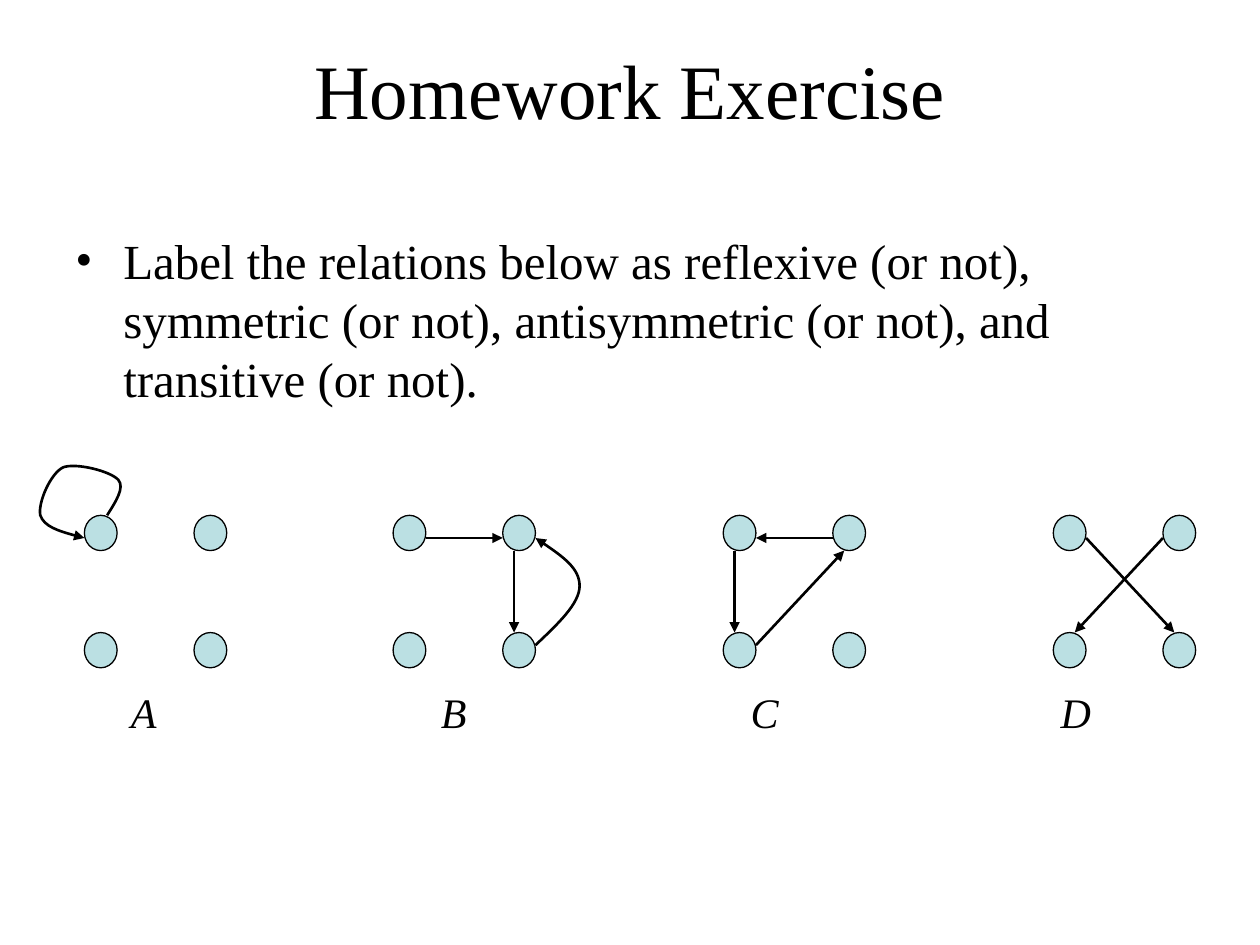
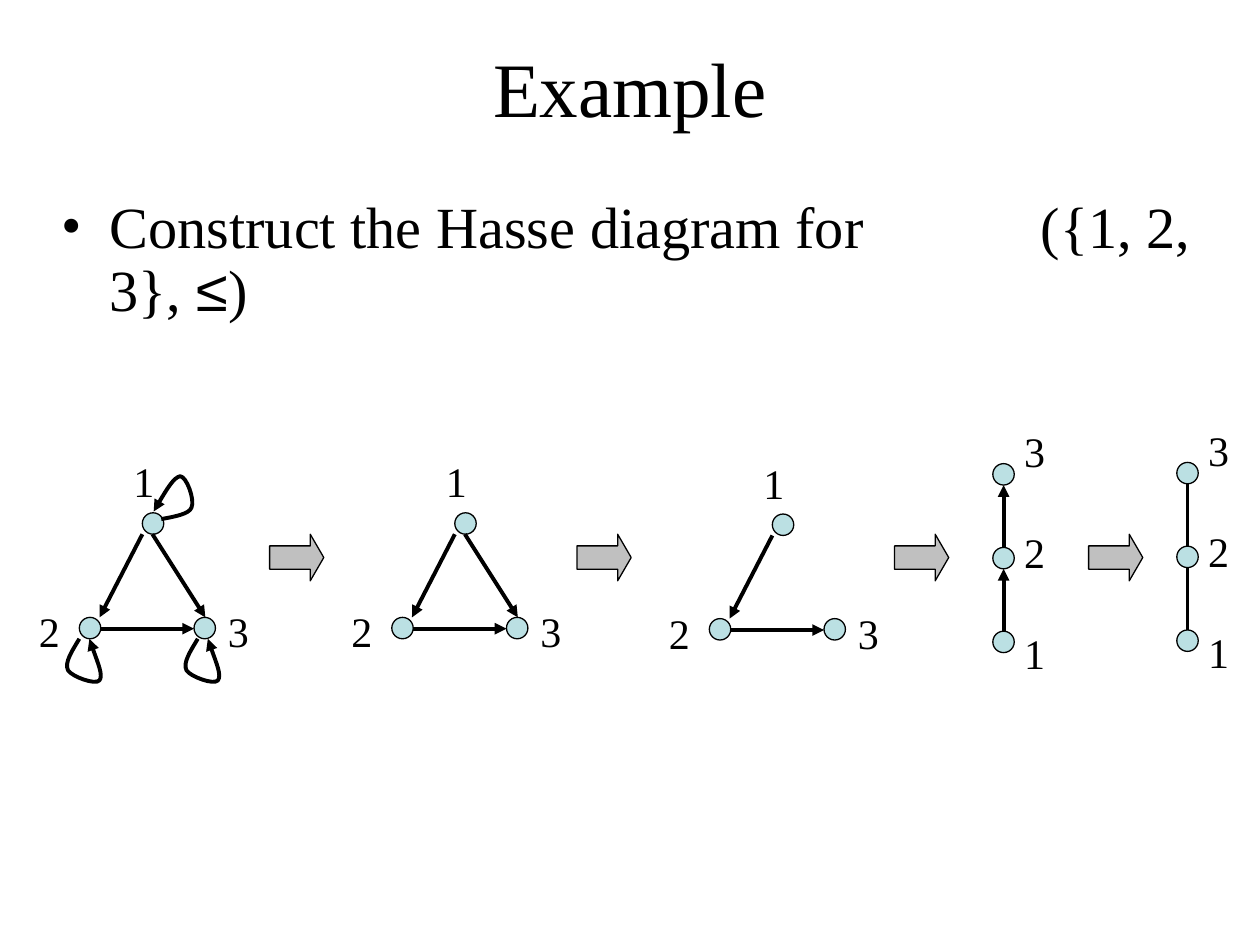
from lxml import etree
from pptx import Presentation
from pptx.dml.color import RGBColor
from pptx.enum import shapes, text
from pptx.oxml import ns
from pptx.util import Inches, Pt

BLACK = RGBColor(0, 0, 0)
NODE_BLUE = RGBColor(0xBB, 0xE0, 0xE3)
ARROW_GREY = RGBColor(0xC0, 0xC0, 0xC0)
SERIF, SANS = "Times New Roman", "Arial"

# Relations: four nodes on a grid, edges measured from the top left node.
GRID_TOP, NODE_WIDTH, NODE_HEIGHT = 4.09, 0.26, 0.28
COLUMN_GAP, ROW_GAP = 0.87, 0.93
RELATIONS = {
    "A": (0.67, []),
    "B": (3.12, [((0.26, 0.18), (0.87, 0.18)), ((0.96, 0.28), (0.96, 0.93))]),
    "C": (5.74, [((0.87, 0.18), (0.26, 0.18)), ((0.09, 0.28), (0.09, 0.93)),
                 ((0.26, 1.03), (0.96, 0.28))]),
    "D": (8.36, [((0.26, 0.18), (0.96, 0.93)), ((0.87, 0.18), (0.17, 0.93))]),
}
LABEL_LEFT, LABEL_GAP = 0.94, 2.46
LOOP_A = [(0.85, 4.09), (0.92, 3.98), (0.99, 3.87), (0.94, 3.81),
          (0.88, 3.74), (0.6, 3.67), (0.5, 3.71), (0.4, 3.76), (0.3, 3.99),
          (0.32, 4.09), (0.35, 4.18), (0.51, 4.23), (0.67, 4.27)]
RETURN_B = [(4.25, 5.12), (4.43, 4.95), (4.6, 4.79), (4.6, 4.65),
            (4.6, 4.51), (4.43, 4.39), (4.25, 4.27)]

# Hasse diagram: triangles are measured from their left and top edges.
DOT = 0.17
TRIANGLE_NODES = [(0.5, 0), (0, 0.83), (0.91, 0.83)]
TRIANGLE_LABELS = [("1", 0.33, -0.5), ("2", -0.42, 0.69), ("3", 1.08, 0.69)]
ONE_TO_TWO = ((0.5, 0.17), (0.16, 0.83))
TWO_TO_THREE = ((0.17, 0.92), (0.91, 0.92))
ONE_TO_THREE = ((0.58, 0.17), (1, 0.83))
LOOP_ONE = [(1.28, 4.12), (1.39, 4.1), (1.5, 4.08), (1.52, 4.03),
            (1.55, 3.97), (1.48, 3.78), (1.43, 3.78),
            (1.38, 3.79), (1.3, 3.92), (1.22, 4.06)]
LOOP_TWO = [(0.63, 5.07), (0.57, 5.17), (0.51, 5.26), (0.54, 5.32),
            (0.57, 5.37), (0.76, 5.44), (0.79, 5.4),
            (0.82, 5.36), (0.76, 5.22), (0.71, 5.07)]
CHAIN_GAP, CHAIN_LABEL_GAP = 0.665, 0.8


def shift(points, left, top=0):
    return [(x + left, y + top) for x, y in points]


def write(paragraph, words, size, font=SERIF, italic=False, spacing=None):
    """Add a run; spacing widens each of its characters, in points."""
    span = paragraph.add_run()
    span.text = words
    span.font.name, span.font.size = font, Pt(size)
    span.font.color.rgb, span.font.italic = BLACK, italic
    if spacing:
        span.font._element.set("spc", str(spacing * 100))
    return span


class Deck:
    def __init__(self):
        self.deck = Presentation()
        self.deck.slide_width, self.deck.slide_height = Inches(10), Inches(7.5)
        self.page = None
        self.line_width = 1.5

    def start(self, heading, title_height, line_width):
        self.page = self.deck.slides.add_slide(self.deck.slide_layouts[5])
        self.line_width = line_width
        title = self.page.shapes.title
        title.left, title.top = Inches(0.5), Inches(0.18)
        title.width, title.height = Inches(9), Inches(title_height)
        title.text_frame.vertical_anchor = text.MSO_ANCHOR.MIDDLE
        paragraph = title.text_frame.paragraphs[0]
        paragraph.alignment = text.PP_ALIGN.CENTER
        write(paragraph, heading, 44)

    def text_box(self, left, top, width, height, wrap=True):
        box = self.page.shapes.add_textbox(
            Inches(left), Inches(top), Inches(width), Inches(height))
        box.text_frame.word_wrap = wrap
        return box.text_frame

    def bullet(self, left, top, width, height, inset=0.1, spacing=1.0):
        """Return the empty bulleted paragraph of a new box."""
        frame = self.text_box(left, top, width, height)
        frame.margin_left = frame.margin_right = Inches(inset)
        paragraph = frame.paragraphs[0]
        properties = paragraph._p.get_or_add_pPr()
        properties.set("marL", str(Inches(0.38)))
        properties.set("indent", str(-Inches(0.38)))
        etree.SubElement(properties, ns.qn("a:buFont"), typeface=SERIF)
        etree.SubElement(properties, ns.qn("a:buChar"), char="•")
        paragraph.line_spacing = spacing
        return paragraph

    def label(self, words, left, top, italic=False):
        frame = self.text_box(left, top, 0.36, 0.5, wrap=False)
        write(frame.paragraphs[0], words, 24, italic=italic)

    def shape(self, kind, left, top, width, height, fill):
        shape = self.page.shapes.add_shape(
            kind, Inches(left), Inches(top), Inches(width), Inches(height))
        shape.shadow.inherit = False
        shape.fill.solid()
        shape.fill.fore_color.rgb = fill
        shape.line.color.rgb, shape.line.width = BLACK, Pt(0.75)
        return shape

    def node(self, left, top, width=DOT, height=DOT):
        self.shape(shapes.MSO_SHAPE.OVAL, left, top, width, height, NODE_BLUE)

    def block_arrow(self, left):
        arrow = self.shape(shapes.MSO_SHAPE.RIGHT_ARROW, left, 4.24, 0.43, 0.37,
                           ARROW_GREY)
        arrow.adjustments[1] = 0.29

    def stroke(self, shape, head=True):
        shape.line.color.rgb, shape.line.width = BLACK, Pt(self.line_width)
        if head:
            etree.SubElement(shape.line._get_or_add_ln(), ns.qn("a:tailEnd"),
                             type="triangle")

    def edge(self, start, end, head=True):
        line = self.page.shapes.add_connector(
            shapes.MSO_CONNECTOR.STRAIGHT, *map(Inches, (*start, *end)))
        self.stroke(line, head)
        etree.SubElement(line._element.spPr, ns.qn("a:effectLst"))

    def curve(self, points):
        """Draw cubic segments: a start, then two controls and an end for each."""
        first, *rest = [(Inches(x), Inches(y)) for x, y in points]
        builder = self.page.shapes.build_freeform(*first)
        builder.add_line_segments(rest, close=False)
        curve = builder.convert_to_shape()
        corners = curve._element.xpath(".//a:path/a:lnTo")
        for index in range(0, len(corners), 3):
            segment = corners[index]
            cubic = etree.Element(ns.qn("a:cubicBezTo"))
            segment.addprevious(cubic)
            for corner in corners[index:index + 3]:
                cubic.append(corner[0])
                corner.getparent().remove(corner)
        curve.shadow.inherit = False
        curve.fill.background()
        self.stroke(curve)

    def relation(self, name, left, edges, label_left):
        for row in range(2):
            for column in range(2):
                self.node(left + column * COLUMN_GAP, GRID_TOP + row * ROW_GAP,
                          NODE_WIDTH, NODE_HEIGHT)
        for edge in edges:
            self.edge(*shift(edge, left, GRID_TOP))
        self.label(name, label_left, 5.4, italic=True)

    def triangle(self, left, top, edges):
        for words, x, y in TRIANGLE_LABELS:
            self.label(words, left + x, top + y)
        for node in shift(TRIANGLE_NODES, left, top):
            self.node(*node)
        for edge in edges:
            self.edge(*shift(edge, left, top))

    def chain(self, left, top, head):
        for index, words in enumerate("321"):
            y = top + index * CHAIN_GAP
            self.node(left, y)
            self.label(words, left + 0.15, top - 0.35 + index * CHAIN_LABEL_GAP)
            if index:
                middle = left + DOT / 2
                self.edge((middle, y), (middle, y - CHAIN_GAP + DOT), head)


def homework(deck):
    deck.start("Homework Exercise", 1.05, line_width=1.5)
    write(deck.bullet(0.5, 1.78, 9.12, 1.92),
          "Label the relations below as reflexive (or not), symmetric (or not), "
          "antisymmetric (or not), and transitive (or not).", 28)
    for index, (name, (left, edges)) in enumerate(RELATIONS.items()):
        deck.relation(name, left, edges, LABEL_LEFT + index * LABEL_GAP)
    deck.curve(LOOP_A)
    deck.curve(RETURN_B)


def hasse_example(deck):
    deck.start("Example", 1.01, line_width=2.25)
    task = deck.bullet(0.49, 1.52, 9.07, 1.28, inset=0, spacing=0.9)
    write(task, "Construct the Hasse diagram for", 33.3)
    write(task, " ", 33.3, spacing=92)
    write(task, "({1, 2, 3}, ", 33.3)
    write(task, "≤", 33.3, font=SANS)
    write(task, ")", 33.3)

    all_edges = [ONE_TO_THREE, ONE_TO_TWO, TWO_TO_THREE]
    deck.triangle(0.63, 4.07, all_edges)
    for loop in (LOOP_ONE, LOOP_TWO, shift(LOOP_TWO, 0.94)):
        deck.curve(loop)
    deck.triangle(3.11, 4.07, all_edges)
    deck.triangle(5.63, 4.08, [ONE_TO_TWO, TWO_TO_THREE])
    deck.chain(7.88, 3.68, head=True)
    deck.chain(9.34, 3.67, head=False)
    for left in (2.14, 4.58, 7.1, 8.64):
        deck.block_arrow(left)


def main():
    deck = Deck()
    homework(deck)
    hasse_example(deck)
    deck.deck.save("out.pptx")


if __name__ == "__main__":
    main()
